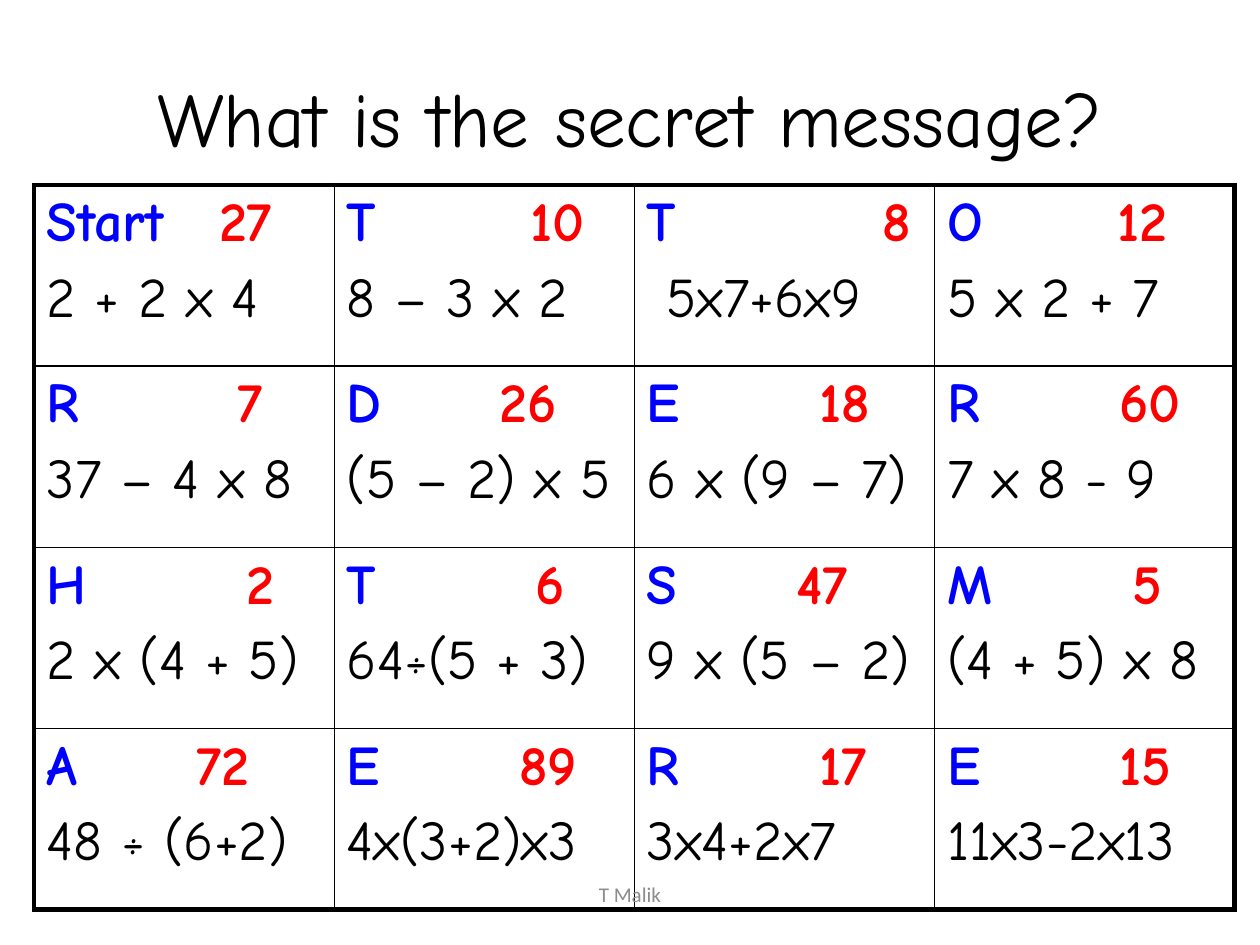
from lxml import etree
from pptx import Presentation
from pptx.dml.color import RGBColor
from pptx.enum.text import MSO_ANCHOR, PP_ALIGN
from pptx.oxml.ns import qn
from pptx.util import Pt

MID, TOP = MSO_ANCHOR.MIDDLE, MSO_ANCHOR.TOP
LEFT, CENTER = PP_ALIGN.LEFT, PP_ALIGN.CENTER
BLACK = RGBColor(0, 0, 0)
BLUE = RGBColor(0, 0, 255)
RED = RGBColor(255, 0, 0)
GRAY = RGBColor(0x8C, 0x8C, 0x8C)
COMIC = "Comic Neue"

TITLE = "What is the secret message?"
AUTHOR = "T Malik"
# letter, answer, tab stop of the answer, sum, indent of the sum
CARDS = [
    [("Start", "27", 98.5, "2 + 2 x 4", 0), ("T", "10", 105, "8 – 3 x 2", 0),
     ("T", "8", 134.5, "5x7+6x9", 11), ("O", "12", 97.5, "5 x 2 + 7", 0)],
    [("R", "7", 109, "37 – 4 x 8", 0), ("D", "26", 87.5, "(5 – 2) x 5", 0),
     ("E", "18", 98.5, "6 x (9 – 7)", 0), ("R", "60", 98.5, "7 x 8 - 9", 0)],
    [("H", "2", 114, "2 x (4 + 5)", 0), ("T", "6", 108, "64÷(5 + 3)", 0),
     ("S", "47", 85.5, "9 x (5 – 2)", 0), ("M", "5", 106, "(4 + 5) x 8", 0)],
    [("A", "72", 85.5, "48 ÷ (6+2)", 0), ("E", "89", 98.5, "4x(3+2)x3", 0),
     ("R", "17", 98.5, "3x4+2x7", 0), ("E", "15", 98.5, "11x3-2x13", 0)],
]
COL, ROW = 171.5, 103.5
THIN, THICK = 1, 3


def write(para, *parts, size=32, font=COMIC, bold=False, align=LEFT, tab=0, indent=0, before=0):
    para.alignment = align
    props = para._p.get_or_add_pPr()
    if before:
        para.space_before = Pt(before)
    if indent:
        props.set("marL", str(Pt(indent)))
        props.set("indent", "0")
    if tab:
        stops = etree.SubElement(props, qn("a:tabLst"))
        etree.SubElement(stops, qn("a:tab"), pos=str(Pt(tab)), algn="l")
    for text, color in parts:
        run = para.add_run()
        run.text = text
        run.font.size, run.font.name, run.font.bold = Pt(size), font, bold
        run.font.color.rgb = color


def add_label(slide, box, text, color, **style):
    frame = slide.shapes.add_textbox(*map(Pt, box)).text_frame
    frame.word_wrap = True
    frame.vertical_anchor = MID
    write(frame.paragraphs[0], (text, color), align=CENTER, **style)


def set_edges(cell, widths):
    props = cell._tc.get_or_add_tcPr()
    for spot, (side, width) in enumerate(widths.items()):
        line = etree.Element(qn("a:ln" + side), w=str(Pt(width)))
        fill = etree.SubElement(line, qn("a:solidFill"))
        etree.SubElement(fill, qn("a:srgbClr"), val=str(BLACK))
        props.insert(spot, line)


def fill_card(cell, card):
    letter, answer, tab, task, indent = card
    cell.fill.background()
    cell.vertical_anchor = TOP
    cell.margin_left = cell.margin_right = Pt(7.2)
    cell.margin_top = cell.margin_bottom = Pt(3.6)
    frame = cell.text_frame
    write(frame.paragraphs[0], (letter + "\t", BLUE), (answer, RED), bold=True, tab=tab)
    write(frame.add_paragraph(), (task, BLACK), indent=indent, before=6.4)


def add_grid(slide, left, top):
    rows, cols = len(CARDS), len(CARDS[0])
    frame = slide.shapes.add_table(rows, cols, Pt(left), Pt(top), Pt(cols * COL), Pt(rows * ROW))
    table = frame.table
    table.first_row = table.horz_banding = False
    for col in table.columns:
        col.width = Pt(COL)
    for r, line in enumerate(CARDS):
        table.rows[r].height = Pt(ROW)
        for c, card in enumerate(line):
            cell = table.cell(r, c)
            fill_card(cell, card)
            outer = {"L": c == 0, "R": c == cols - 1, "T": r == 0, "B": r == rows - 1}
            set_edges(cell, {side: THICK if edge else THIN for side, edge in outer.items()})


def main():
    deck = Presentation()
    deck.slide_width, deck.slide_height = Pt(720), Pt(540)
    slide = deck.slides.add_slide(deck.slide_layouts[6])
    add_label(slide, (36, 21.6, 648, 90), TITLE, BLACK, size=44)
    add_grid(slide, 19.5, 105.8)
    add_label(slide, (246, 492, 228, 37.5), AUTHOR, GRAY, size=12, font="Calibri")
    deck.save("out.pptx")


if __name__ == "__main__":
    main()
